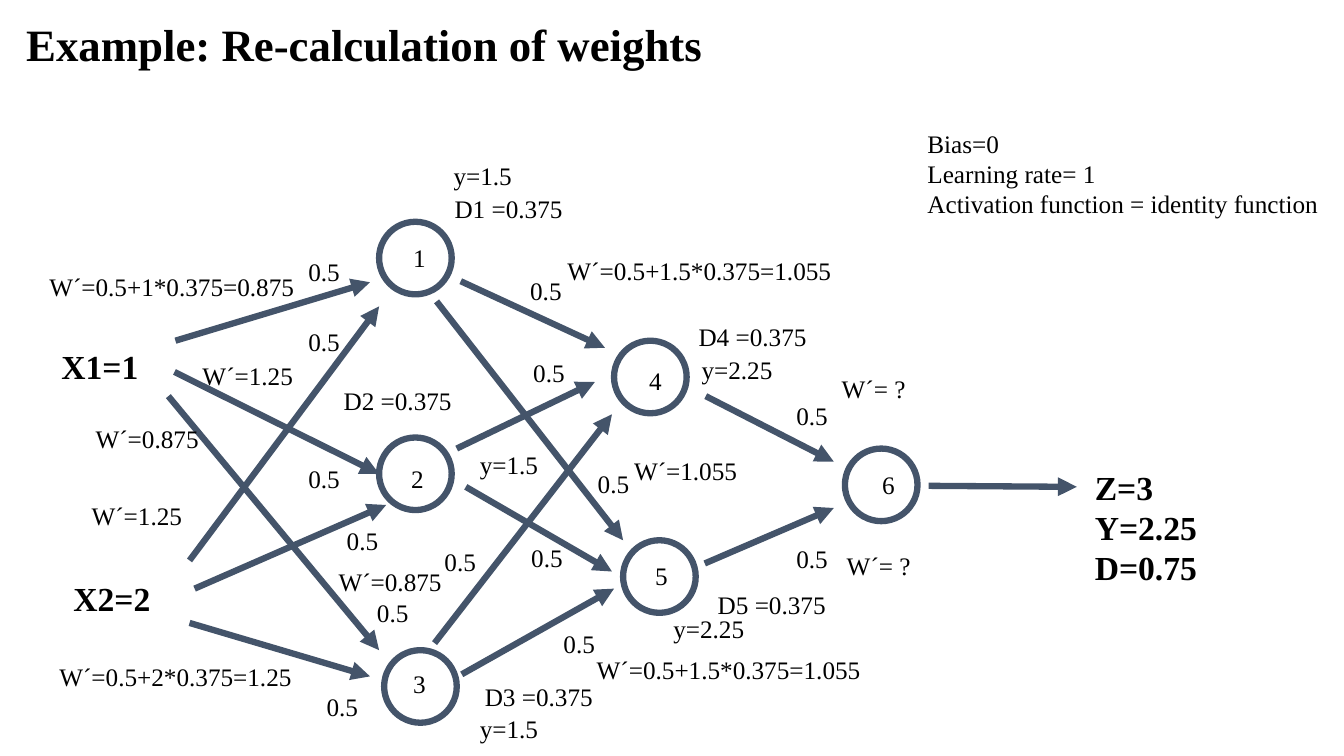
from collections import namedtuple
from dataclasses import dataclass

from lxml import etree
from pptx import Presentation
from pptx.dml.color import RGBColor
from pptx.enum.shapes import MSO_CONNECTOR, MSO_SHAPE
from pptx.enum.text import MSO_ANCHOR, MSO_AUTO_SIZE, PP_ALIGN
from pptx.oxml.ns import qn
from pptx.util import Inches, Pt

STRAIGHT = MSO_CONNECTOR.STRAIGHT
OVAL = MSO_SHAPE.OVAL
TOP = MSO_ANCHOR.TOP
LEFT = PP_ALIGN.LEFT
NO_AUTOFIT = MSO_AUTO_SIZE.NONE
TITLE_ONLY = 5

Box = namedtuple("Box", "left top width height")


@dataclass(frozen=True)
class Theme:
    font: str = "Times New Roman"
    ink: RGBColor = RGBColor(0x00, 0x00, 0x00)
    slate: RGBColor = RGBColor(0x44, 0x54, 0x6A)
    title_size: int = 32
    value_size: int = 24
    label_size: int = 18
    stroke: float = 4.5


THEME = Theme()
NEURON_SIZE = 0.72
DIGIT_WIDTH = 0.33
LINE_HEIGHT = 0.4

# Neuron: (circle left, circle top, digit left, digit top)
NEURONS = {
    "1": (3.76, 1.2, 4, 1.36),
    "2": (3.76, 3.34, 3.98, 3.55),
    "3": (3.81, 5.45, 4, 5.58),
    "4": (6.09, 2.38, 6.34, 2.58),
    "5": (6.18, 4.36, 6.4, 4.51),
    "6": (8.38, 3.45, 8.65, 3.61),
}

# Arrow: (start x, start y, end x, end y)
ARROWS = [
    # inputs to the first hidden layer
    (1.74, 2.38, 3.67, 1.8),
    (1.73, 2.69, 3.76, 3.7),
    (1.67, 2.93, 3.76, 5.45),
    (1.88, 4.56, 3.76, 2.04),
    (1.93, 4.84, 3.83, 4.01),
    (1.88, 5.18, 3.67, 5.71),
    # first to second hidden layer
    (4.57, 1.79, 6, 2.45),
    (4.33, 1.99, 6.18, 4.36),
    (4.53, 3.45, 5.9, 2.79),
    (4.62, 3.83, 6.07, 4.67),
    (4.31, 5.38, 6.07, 3.11),
    (4.58, 5.69, 6.09, 4.84),
    # second hidden layer to the output
    (7, 2.93, 8.27, 3.58),
    (6.99, 4.59, 8.27, 4.04),
    (9.21, 3.82, 10.68, 3.83),
]

# Label text: (box width, [(left, top), ...])
LABELS = {
    "0.5": (0.52, [
        (2.96, 1.49), (2.96, 2.19), (2.96, 3.55), (3.34, 4.16), (3.64, 4.88),
        (3.14, 5.81), (5.16, 1.68), (5.19, 2.5), (5.83, 3.6), (5.17, 4.33),
        (4.31, 4.37), (5.49, 5.18), (7.8, 2.92), (7.8, 4.34)]),
    "D1 =0.375": (1.28, [(4.41, 0.87)]),
    "D2 =0.375": (1.28, [(3.31, 2.77)]),
    "D3 =0.375": (1.28, [(4.71, 5.71)]),
    "D4 =0.375": (1.28, [(6.83, 2.14)]),
    "D5 =0.375": (1.28, [(7.02, 4.8)]),
    "y=1.5": (0.79, [(4.4, 0.54), (4.66, 3.41), (4.66, 6.03)]),
    "y=2.25": (0.91, [(6.86, 2.47), (6.58, 5.04)]),
    "W´=0.5+1*0.375=0.875": (2.65, [(0.39, 1.64)]),
    "W´=0.5+2*0.375=1.25": (2.55, [(0.49, 5.51)]),
    "W´=0.5+1.5*0.375=1.055": (2.84, [(5.53, 1.48), (5.82, 5.44)]),
    "W´=0.875": (1.23, [(0.85, 3.15), (3.26, 4.57)]),
    "W´=1.25": (1.11, [(1.91, 2.53), (0.81, 3.91)]),
    "W´=1.055": (1.23, [(6.19, 3.47)]),
    "W´= ?": (0.84, [(8.25, 2.65), (8.3, 4.41)]),
}


def write_lines(frame, lines, size, bold=False):
    settings = {"word_wrap": False, "auto_size": NO_AUTOFIT, "vertical_anchor": TOP}
    for name, value in settings.items():
        setattr(frame, name, value)
    font_format = {"name": THEME.font, "size": Pt(size), "bold": bold}
    for index, line in enumerate(lines):
        para = frame.paragraphs[0] if index == 0 else frame.add_paragraph()
        para.alignment = LEFT
        span = para.add_run()
        span.text = line
        for name, value in font_format.items():
            setattr(span.font, name, value)
        span.font.color.rgb = THEME.ink


def add_text(page, box, lines, size=THEME.label_size, bold=False):
    text_box = page.shapes.add_textbox(*(Inches(length) for length in box))
    write_lines(text_box.text_frame, lines, size, bold)


def add_arrow(page, ends):
    arrow = page.shapes.add_connector(STRAIGHT, *(Inches(length) for length in ends))
    arrow.line.color.rgb = THEME.slate
    arrow.line.width = Pt(THEME.stroke)
    etree.SubElement(arrow.line._get_or_add_ln(), qn("a:tailEnd"), type="triangle")
    etree.SubElement(arrow._element.spPr, qn("a:effectLst"))


def add_circle(page, left, top):
    circle = page.shapes.add_shape(
        OVAL, Inches(left), Inches(top), Inches(NEURON_SIZE), Inches(NEURON_SIZE))
    circle.shadow.inherit = False
    circle.fill.background()
    circle.line.color.rgb = THEME.slate
    circle.line.width = Pt(THEME.stroke)


def draw_title(page, box):
    title = page.shapes.title
    for name, length in box._asdict().items():
        setattr(title, name, Inches(length))
    write_lines(title.text_frame, ["Example: Re-calculation of weights"],
                THEME.title_size, bold=True)


def draw_settings(page, box):
    """State the assumptions the calculation uses."""
    add_text(page, box, ["Bias=0", "Learning rate= 1",
                         "Activation function = identity function"])


def draw_network(page, box):
    """Draw neurons, arrows and weight labels, all measured from the box corner."""
    for digit, (left, top, digit_left, digit_top) in NEURONS.items():
        add_circle(page, box.left + left, box.top + top)
        add_text(page, Box(box.left + digit_left, box.top + digit_top,
                           DIGIT_WIDTH, LINE_HEIGHT), [digit])
    for x1, y1, x2, y2 in ARROWS:
        add_arrow(page, (box.left + x1, box.top + y1, box.left + x2, box.top + y2))
    for text, (width, places) in LABELS.items():
        for left, top in places:
            add_text(page, Box(box.left + left, box.top + top, width, LINE_HEIGHT), [text])


def draw_inputs(page, box):
    """Place the first input at the top of the box and the second at its foot."""
    width, height = 0.97, 0.5
    first = Box(box.left, box.top, width, height)
    second = Box(box.left + box.width - width, box.top + box.height - height, width, height)
    for place, text in ((first, "X1=1"), (second, "X2=2")):
        add_text(page, place, [text], THEME.value_size, bold=True)


def draw_output(page, box):
    add_text(page, box, ["Z=3", "Y=2.25", "D=0.75"], THEME.value_size, bold=True)


def main():
    deck = Presentation()
    deck.slide_width, deck.slide_height = Inches(13.33), Inches(7.5)
    page = deck.slides.add_slide(deck.slide_layouts[TITLE_ONLY])
    draw_title(page, Box(0.16, 0.12, 6.97, 0.64))
    draw_settings(page, Box(9.1, 1.22, 4.12, 1.01))
    draw_network(page, Box(0, 1, 10.7, 6.5))
    draw_inputs(page, Box(0.51, 3.38, 1.09, 2.8))
    draw_output(page, Box(10.76, 4.58, 1.23, 1.31))
    deck.save("out.pptx")


if __name__ == "__main__":
    main()
